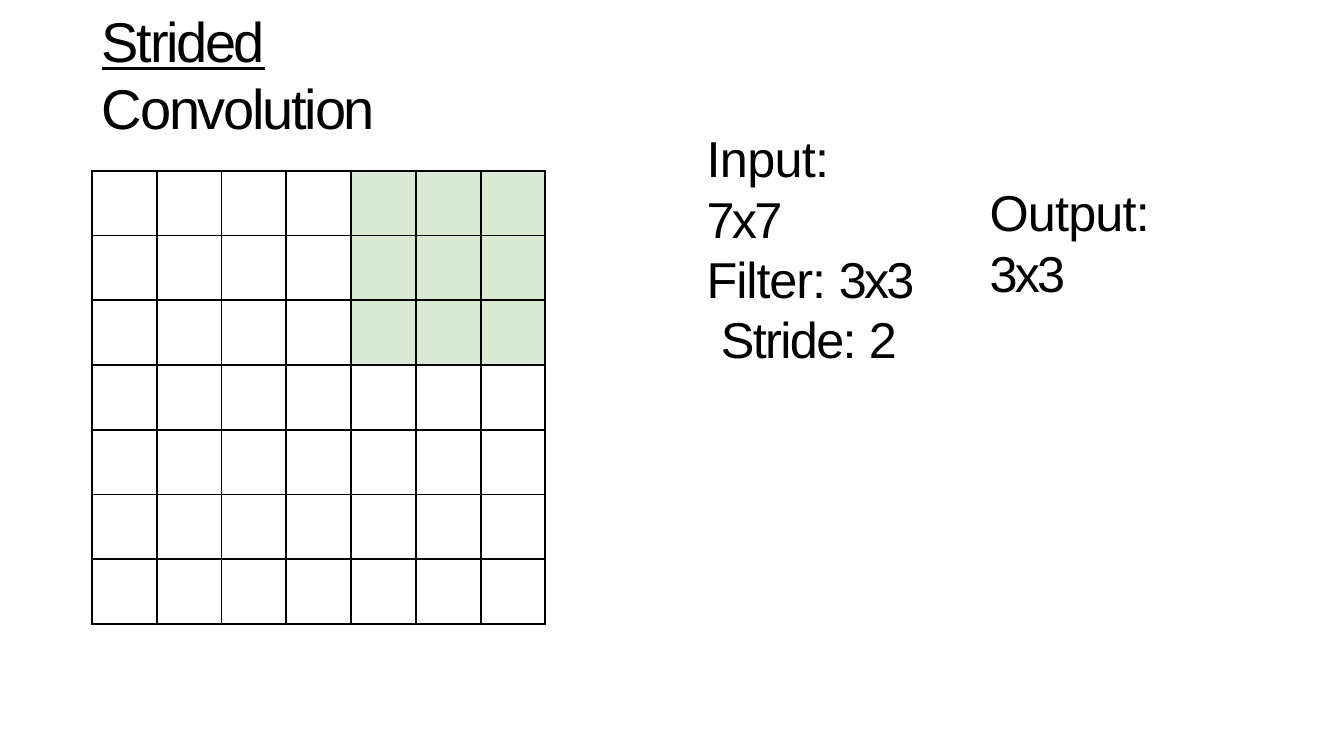
from lxml import etree
from pptx import Presentation
from pptx.dml.color import RGBColor
from pptx.enum.text import MSO_ANCHOR, MSO_AUTO_SIZE, PP_ALIGN
from pptx.oxml.ns import qn
from pptx.util import Cm, Pt

TOP = MSO_ANCHOR.TOP
MIDDLE = MSO_ANCHOR.MIDDLE
GROW = MSO_AUTO_SIZE.SHAPE_TO_FIT_TEXT
LEFT = PP_ALIGN.LEFT


def color(value):
    return RGBColor.from_string(value)


class SlideBuilder:
    """Holds the style and the current slide, and adds elements to it."""

    font_name = "Arial"
    ink = "000000"
    highlight = "D9EAD3"
    border_width = Pt(1.5)

    def __init__(self, slide):
        self.slide = slide

    def text(self, left, top, width, height, lines, size, leading,
             anchor=TOP, inset=0.03):
        shape = self.slide.shapes.add_textbox(Cm(left), Cm(top), Cm(width), Cm(height))
        frame = shape.text_frame
        frame.word_wrap = True
        frame.auto_size = GROW
        frame.vertical_anchor = anchor
        frame.margin_left = frame.margin_right = frame.margin_bottom = 0
        frame.margin_top = Cm(inset)
        for index, (indent, runs) in enumerate(lines):
            paragraph = frame.add_paragraph() if index else frame.paragraphs[0]
            paragraph.alignment = LEFT
            paragraph.line_spacing = Pt(leading)
            if indent:
                paragraph._p.get_or_add_pPr().set("marL", str(Cm(indent)))
            for words, spacing, underline in runs:
                self.run(paragraph, words, size, spacing, underline)

    def run(self, paragraph, words, size, spacing, underline):
        run = paragraph.add_run()
        run.text = words
        run.font.name = self.font_name
        run.font.size = Pt(size)
        run.font.underline = underline
        run.font.color.rgb = color(self.ink)
        run._r.get_or_add_rPr().set("spc", str(round(spacing * 100)))

    def grid(self, left, top, side, count, highlighted):
        table = self.slide.shapes.add_table(
            count, count, Cm(left), Cm(top), Cm(side), Cm(side)).table
        table.first_row = table.horz_banding = False
        for band in (*table.columns, ):
            band.width = Cm(side / count)
        for band in table.rows:
            band.height = Cm(side / count)
        for row in range(count):
            for column in range(count):
                cell = table.cell(row, column)
                self.borders(cell)
                if (row, column) in highlighted:
                    cell.fill.solid()
                    cell.fill.fore_color.rgb = color(self.highlight)
                else:
                    cell.fill.background()

    def borders(self, cell):
        properties = cell._tc.get_or_add_tcPr()
        for edge in ("a:lnL", "a:lnR", "a:lnT", "a:lnB"):
            line = etree.SubElement(properties, qn(edge), w=str(self.border_width))
            fill = etree.SubElement(line, qn("a:solidFill"))
            etree.SubElement(fill, qn("a:srgbClr"), val=self.ink)


def main():
    presentation = Presentation()
    presentation.slide_width = Cm(33.87)
    presentation.slide_height = Cm(19.05)
    builder = SlideBuilder(presentation.slides.add_slide(presentation.slide_layouts[6]))

    builder.text(2.57, 0.97, 11.28, 1.75, [
        (0, [("Strided", -1.7, True)]),
        (0, [("Convolution", -1.6, False)]),
    ], size=40, leading=48, anchor=MIDDLE)

    input_size, filter_size = 7, 3
    filter_cells = {(row, column) for row in range(filter_size)
                    for column in range(input_size - filter_size, input_size)}
    builder.grid(2.32, 4.3, 11.43, input_size, filter_cells)

    builder.text(17.81, 3.12, 5.5, 4.62, [
        (0, [("Input:", -0.5, False)]),
        (0, [("7x7", -2, False)]),
        (0, [("Filter: ", -0.8, False), ("3x3", -2, False)]),
        (0.36, [("Stride: ", -1.2, False), ("2", -1.8, False)]),
    ], size=36, leading=43, inset=0.1)

    builder.text(24.94, 4.55, 6.22, 1.6, [
        (0, [("Output:", -0.6, False)]),
        (0, [("3x3", -2, False)]),
    ], size=36, leading=43)

    presentation.save("out.pptx")


if __name__ == "__main__":
    main()
